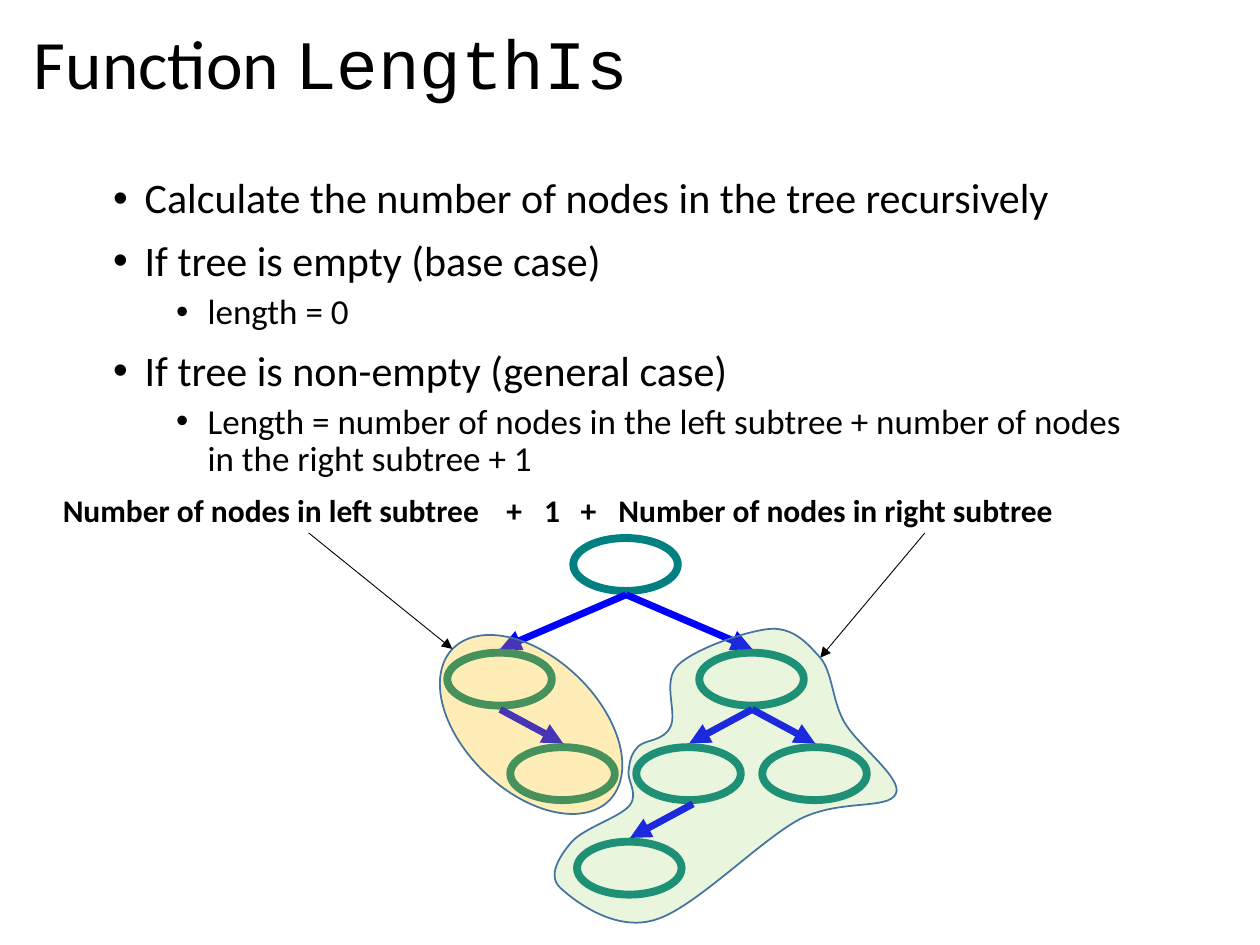
"""Build a slide on counting tree nodes recursively."""
from lxml.etree import SubElement as Sub
from pptx import Presentation
from pptx.dml.color import RGBColor
from pptx.enum.shapes import MSO_CONNECTOR as Link, MSO_SHAPE as Kind
from pptx.enum.text import MSO_ANCHOR as Anchor
from pptx.oxml.ns import qn
from pptx.util import Inches, Pt

TITLE = [("Function ", "Calibri"), ("LengthIs", "Courier New")]
POINTS = [
    (0, "Calculate the number of nodes in the tree recursively"),
    (0, "If tree is empty (base case)"),
    (1, "length = 0"),
    (0, "If tree is non-empty (general case)"),
    (1, "Length = number of nodes in the left subtree + number of nodes in the right subtree + 1"),
]
LEVELS = [(24, 10, 0.25), (20, 5, 0.75)]
SUM = ["Number of nodes in left subtree", "+", "1", "+", "Number of nodes in right subtree"]
STOPS = [3.52, 3.82, 4.11, 4.41]
NODES = [(4.55, 4.27), (3.55, 5.18), (5.55, 5.18), (4.05, 5.93),
         (6.05, 5.93), (5.05, 5.93), (4.58, 6.68)]
EDGES = [(3.97, 5.63, 4.47, 5.9), (5.97, 5.63, 6.47, 5.9), (4.97, 4.72, 5.97, 5.15),
         (4.97, 4.72, 3.97, 5.15), (5.97, 5.63, 5.47, 5.9), (5.5, 6.38, 5, 6.65)]
NOTES = [(7.34, 4.23, 6.51, 5.22), (2.45, 4.23, 3.59, 5.15)]
BLOB = (4.4, 4.99, 2.72, 2.33)
START = (6.13, 4.99)
CURVES = [
    (5.94, 5, 5.51, 5.15, 5.38, 5.28), (5.25, 5.41, 5.38, 5.66, 5.32, 5.77),
    (5.27, 5.88, 5.13, 5.87, 5.07, 5.92), (5.01, 5.98, 5, 6.03, 4.99, 6.11),
    (4.97, 6.19, 5.07, 6.29, 5, 6.39), (4.92, 6.49, 4.63, 6.57, 4.53, 6.69),
    (4.44, 6.8, 4.34, 6.95, 4.45, 7.05), (4.56, 7.15, 4.88, 7.4, 5.2, 7.3),
    (5.51, 7.21, 6.03, 6.67, 6.35, 6.5), (6.67, 6.34, 7.05, 6.43, 7.11, 6.3),
    (7.17, 6.18, 6.8, 5.91, 6.7, 5.73), (6.6, 5.55, 6.61, 5.34, 6.51, 5.22),
    (6.41, 5.11, 6.31, 4.99, 6.13, 4.99),
]


def color(text):
    return RGBColor.from_string(text)


def style(shape, line, width, fill=None, alpha=100):
    shape.shadow.inherit = False
    shape.line.color.rgb = color(line)
    shape.line.width = Pt(width)
    if fill is None:
        shape.fill.background()
        return
    shape.fill.solid()
    shape.fill.fore_color.rgb = color(fill)
    tint = shape.fill._xPr.find(".//" + qn("a:srgbClr"))
    Sub(tint, qn("a:alpha"), val=str(alpha * 1000))


def oval(shapes, *box):
    return shapes.add_shape(Kind.OVAL, *map(Inches, box))


def arrow(shapes, ends, tone, width):
    link = shapes.add_connector(Link.STRAIGHT, *map(Inches, ends))
    link.line.color.rgb = color(tone)
    link.line.width = Pt(width)
    Sub(link.line._get_or_add_ln(), qn("a:tailEnd"), type="triangle")
    Sub(link._element.spPr, qn("a:effectLst"))


def textbox(shapes, *box):
    frame = shapes.add_textbox(*map(Inches, box)).text_frame
    frame.word_wrap = True
    return frame


def face(font, size, name="Calibri"):
    font.size, font.name = Pt(size), name
    font.color.rgb = color("000000")


def bullets(shapes):
    frame = textbox(shapes, 0.8, 1.36, 8.4, 5.24)
    for i, (level, text) in enumerate(POINTS):
        para = frame.add_paragraph() if i else frame.paragraphs[0]
        size, gap, left = LEVELS[level]
        para.text, para.level = text, level
        para.line_spacing, para.space_before = 0.9, Pt(gap)
        face(para.font, size)
        props = para._p.get_or_add_pPr()
        props.set("marL", str(Inches(left)))
        props.set("indent", str(Inches(-0.25)))
        mark = Sub(props, qn("a:buFont"), typeface="Arial")
        mark.addnext(props.makeelement(qn("a:buChar"), {"char": "•"}))
        props.append(props.find(qn("a:defRPr")))


def formula(shapes):
    para = textbox(shapes, 0.4, 3.85, 9.33, 0.71).paragraphs[0]
    para.text = "\t".join(SUM)
    tabs = Sub(para._p.get_or_add_pPr(), qn("a:tabLst"))
    for stop in STOPS:
        Sub(tabs, qn("a:tab"), pos=str(Inches(stop)), algn="l")
    face(para.font, 18)
    para.font.bold = True


def title(shapes):
    frame = textbox(shapes, 0.17, 0.16, 9.62, 0.74)
    frame.vertical_anchor = Anchor.MIDDLE
    para = frame.paragraphs[0]
    para.line_spacing = 0.9
    for text, name in TITLE:
        run = para.add_run()
        run.text = text
        face(run.font, 39.6, name)


def blob(shapes):
    pen = shapes.build_freeform(*map(Inches, START))
    pen.add_line_segments([tuple(map(Inches, row[4:])) for row in CURVES])
    shape = pen.convert_to_shape()
    left, top, width, height = map(Inches, BLOB)
    shape.left, shape.top, shape.width, shape.height = left, top, width, height
    track = shape._element.find(".//" + qn("a:path"))
    track.clear()
    track.set("w", str(width))
    track.set("h", str(height))
    for tag, row in [("a:moveTo", START)] + [("a:cubicBezTo", row) for row in CURVES]:
        step = Sub(track, qn(tag))
        for x, y in zip(row[::2], row[1::2]):
            Sub(step, qn("a:pt"), x=str(Inches(x) - left), y=str(Inches(y) - top))
    Sub(track, qn("a:close"))
    return shape


def main():
    deck = Presentation()
    deck.slide_width, deck.slide_height = Inches(10), Inches(7.5)
    shapes = deck.slides.add_slide(deck.slide_layouts[6]).shapes
    bullets(shapes)
    for x, y in NODES:
        style(oval(shapes, x, y, 0.83, 0.42), "008080", 4.5)
    for ends in EDGES:
        arrow(shapes, ends, "0000FF", 4)
    left = oval(shapes, 3.35, 5.22, 1.73, 1.06)
    left.rotation = 43.8
    style(left, "43739E", 1, "FFC000", 28)
    formula(shapes)
    for ends in NOTES:
        arrow(shapes, ends, "000000", 0.5)
    style(blob(shapes), "43739E", 1, "92D050", 20)
    title(shapes)
    deck.save("out.pptx")


if __name__ == "__main__":
    main()
